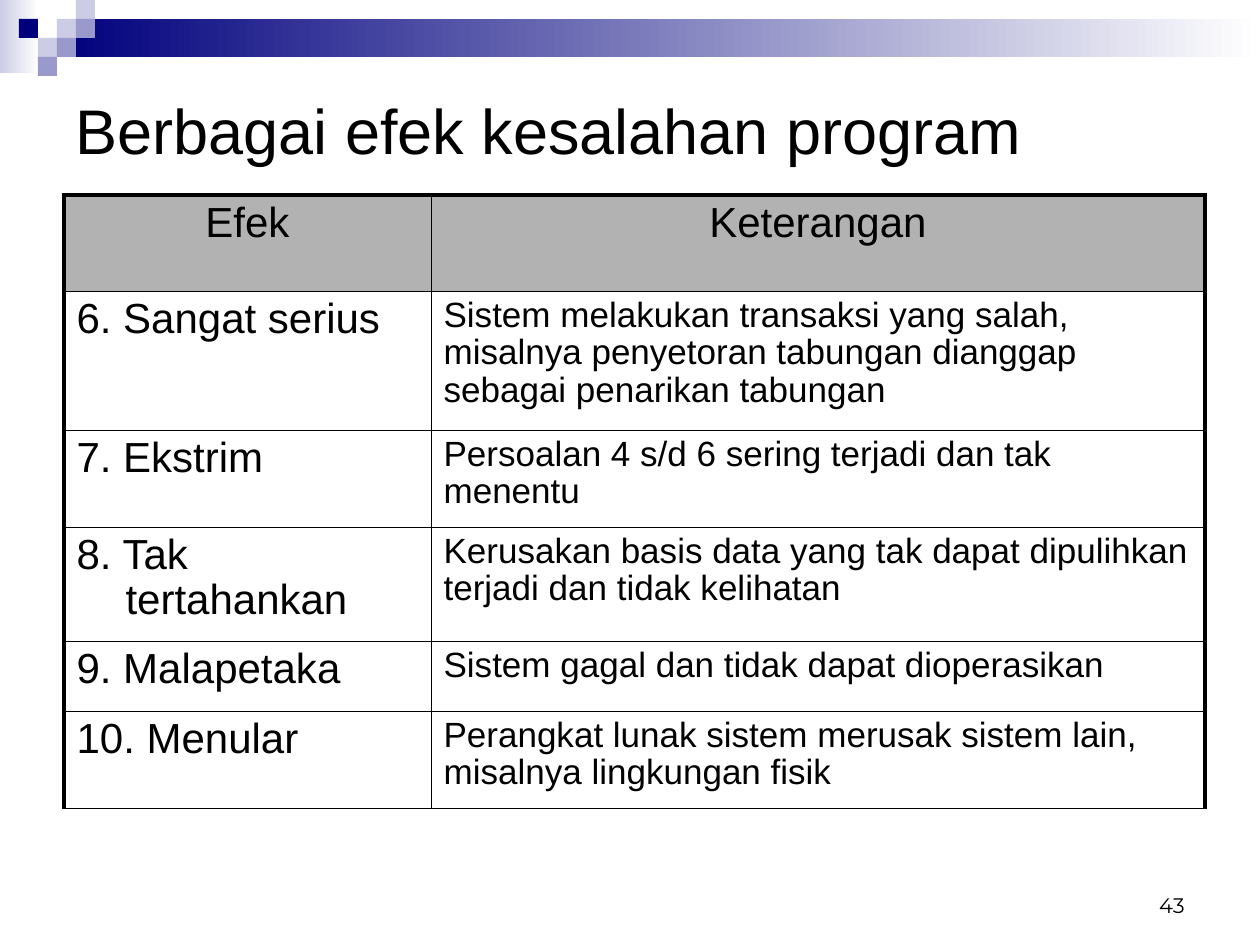
from lxml.etree import SubElement
from pptx import Presentation
from pptx.dml.color import RGBColor
from pptx.enum.shapes import MSO_SHAPE
from pptx.enum.text import MSO_ANCHOR as ANCHOR, PP_ALIGN as ALIGN
from pptx.oxml.ns import qn
from pptx.util import Emu, Pt

SCALE = 914400 / 126
UNIT = 19  # side of a decorative square
NAVY, LILAC, VIOLET = "00007D", "CCCCE6", "9999CC"
BLACK, WHITE, GREY = "000000", "FFFFFF", "B2B2B2"
THIN, THICK = 0.45, 2.5

SQUARES = [(3, 1, LILAC), (4, 0, LILAC), (4, 1, VIOLET), (2, 2, LILAC),
           (1, 1, NAVY), (3, 2, VIOLET), (2, 3, VIOLET)]
COLUMNS = [367, 774]
HEIGHTS = [96, 139, 97, 114, 70, 97]
ROWS = [
    ("Efek", "Keterangan"),
    ("6. Sangat serius", "Sistem melakukan transaksi yang salah, misalnya "
     "penyetoran tabungan dianggap sebagai penarikan tabungan"),
    ("7. Ekstrim", "Persoalan 4 s/d 6 sering terjadi dan tak menentu"),
    ("8. Tak tertahankan", "Kerusakan basis data yang tak dapat dipulihkan "
     "terjadi dan tidak kelihatan"),
    ("9. Malapetaka", "Sistem gagal dan tidak dapat dioperasikan"),
    ("10. Menular", "Perangkat lunak sistem merusak sistem lain, "
     "misalnya lingkungan fisik"),
]
HANGING = {1: 63, 3: 49}  # hanging indent of the first column, by row


def px(n):
    return Emu(round(n * SCALE))


def rgb(value):
    return RGBColor.from_string(value)


def set_text(tf, text, size, font="Arial", align=ALIGN.LEFT, spacing=1.0):
    tf.word_wrap = True
    p = tf.paragraphs[0]
    for name, value in {"alignment": align, "line_spacing": spacing}.items():
        setattr(p, name, value)
    r = p.add_run()
    r.text = text
    for name, value in {"name": font, "size": Pt(size), "bold": False}.items():
        setattr(r.font, name, value)
    r.font.color.rgb = rgb(BLACK)
    return p


def add_rect(s, x, y, w, h, *colours):
    """Fill with one colour, or with a left-to-right gradient of two."""
    sp = s.shapes.add_shape(MSO_SHAPE.RECTANGLE, px(x), px(y), px(w), px(h))
    sp.shadow.inherit = False
    sp.line.fill.background()
    if len(colours) == 1:
        sp.fill.solid()
        sp.fill.fore_color.rgb = rgb(colours[0])
    else:
        sp.fill.gradient()
        sp.fill.gradient_angle = 0
        for stop, colour in zip(sp.fill.gradient_stops, colours):
            stop.color.rgb = rgb(colour)


def add_decoration(s):
    add_rect(s, 0, 0, 39, 73, LILAC, WHITE)
    add_rect(s, 57, UNIT, 1203, 2 * UNIT, NAVY, WHITE)
    for col, row, colour in SQUARES:
        add_rect(s, col * UNIT, row * UNIT, UNIT, UNIT, colour)


def set_borders(cell, widths):
    tcPr = cell._tc.get_or_add_tcPr()
    for side, width in widths.items():
        ln = SubElement(tcPr, qn(f"a:{side}"), w=str(Pt(width)))
        fill = SubElement(ln, qn("a:solidFill"))
        SubElement(fill, qn("a:srgbClr"), val=BLACK)


def add_effects_table(s):
    frame = s.shapes.add_table(len(ROWS), len(COLUMNS), px(64), px(195),
                               px(sum(COLUMNS)), px(sum(HEIGHTS)))
    table = frame.table
    for col, width in zip(table.columns, COLUMNS):
        col.width = px(width)
    for i, (texts, height) in enumerate(zip(ROWS, HEIGHTS)):
        table.rows[i].height = px(height)
        for j, text in enumerate(texts):
            cell = table.cell(i, j)
            header = i == 0
            set_borders(cell, {"lnL": THICK if j == 0 else THIN,
                               "lnR": THICK if j == 1 else THIN,
                               "lnT": THICK if header else THIN,
                               "lnB": THIN})
            cell.fill.solid()
            cell.fill.fore_color.rgb = rgb(GREY if header else WHITE)
            p = set_text(cell.text_frame, text, 24 if header or j == 0 else 20,
                         align=ALIGN.CENTER if header else ALIGN.LEFT,
                         spacing=0.96)
            if j == 0 and i in HANGING:
                pPr = p._p.get_or_add_pPr()
                pPr.set("marL", str(px(HANGING[i])))
                pPr.set("indent", str(-px(HANGING[i])))


def add_title(s, text):
    sp = s.shapes.title
    box = {"left": 63, "top": 35, "width": 1134, "height": 189}
    for name, value in box.items():
        setattr(sp, name, px(value))
    sp.text_frame.vertical_anchor = ANCHOR.MIDDLE
    set_text(sp.text_frame, text, 36)


def add_page_number(s, text):
    sp = s.shapes.add_textbox(px(903), px(861), px(294), px(63))
    sp.text_frame.vertical_anchor = ANCHOR.BOTTOM
    set_text(sp.text_frame, text, 12, "Montserrat", ALIGN.RIGHT)


def main():
    prs = Presentation()
    prs.slide_width, prs.slide_height = px(1260), px(945)
    s = prs.slides.add_slide(prs.slide_layouts[5])
    # Template band and squares
    add_decoration(s)
    # Content
    add_page_number(s, "43")
    add_title(s, "Berbagai efek kesalahan program")
    add_effects_table(s)
    prs.save("out.pptx")


if __name__ == "__main__":
    main()
